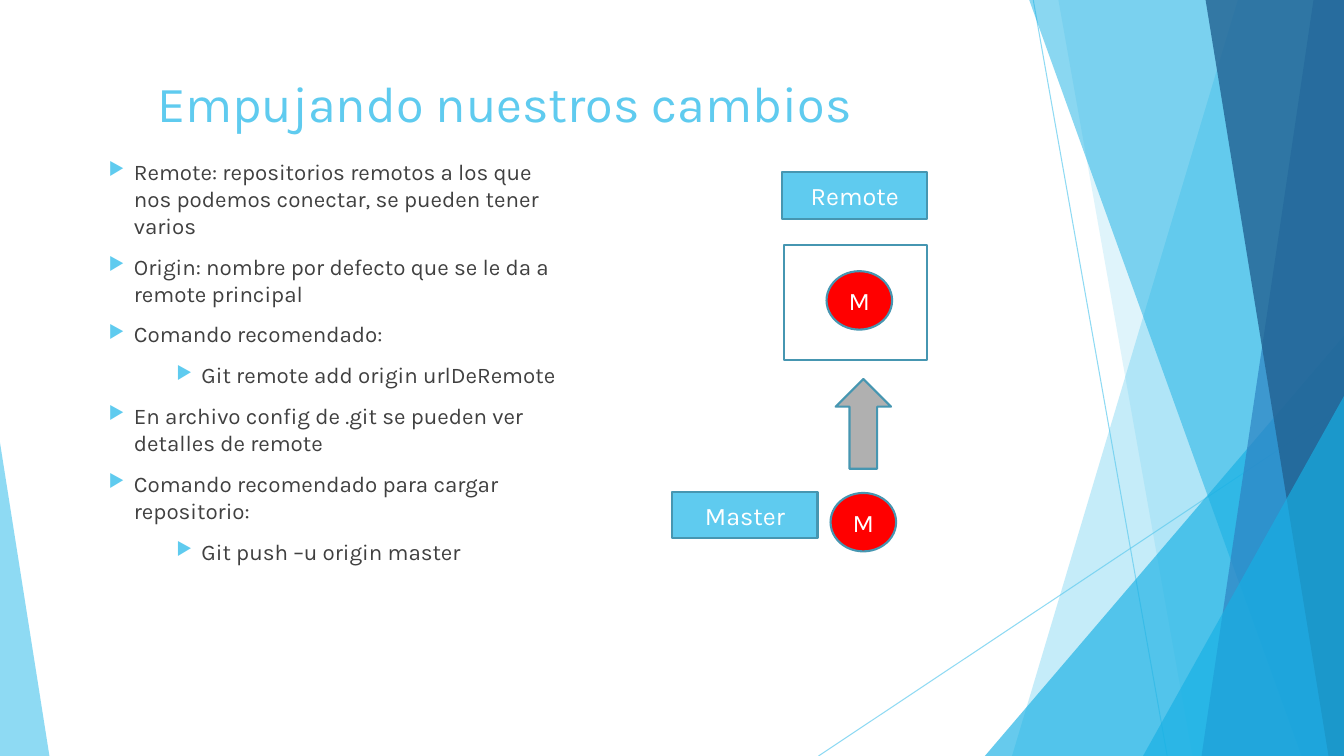
from dataclasses import dataclass

from lxml.etree import SubElement
from pptx import Presentation
from pptx.dml.color import RGBColor
from pptx.enum.shapes import MSO_CONNECTOR, MSO_SHAPE
from pptx.enum.text import MSO_ANCHOR, PP_ALIGN
from pptx.oxml.ns import qn
from pptx.util import Inches, Pt


@dataclass(frozen=True)
class Theme:
    font: str = "Karla"
    sky: str = "5FCBEF"
    cyan: str = "17B0E4"
    blue: str = "2E83C3"
    navy: str = "226292"
    outline: str = "4696B1"
    red: str = "FF0000"
    gray: str = "B0B0B0"
    white: str = "FFFFFF"
    body: str = "404040"
    title_size: int = 36
    label_size: int = 18
    body_size: int = 16
    outline_width: float = 1.5
    hairline_width: float = 0.75


class SlideBuilder:
    def __init__(self, presentation, theme):
        self.theme = theme
        self.width = presentation.slide_width
        self.height = presentation.slide_height
        self.slide = presentation.slides.add_slide(presentation.slide_layouts[6])

    def across(self, percent):
        return round(self.width * percent / 100)

    def down(self, percent):
        return round(self.height * percent / 100)

    def frame(self, left, top, width, height):
        return self.across(left), self.down(top), self.across(width), self.down(height)

    def paint(self, fill, color, opacity=100):
        fill.solid()
        fill.fore_color.rgb = RGBColor.from_string(color)
        if opacity < 100:
            color_element = fill._xPr.find(".//" + qn("a:srgbClr"))
            SubElement(color_element, qn("a:alpha"), val=str(opacity * 1000))

    def format_runs(self, paragraph, size, color):
        for run in paragraph.runs:
            run.font.name = self.theme.font
            run.font.size = Pt(size)
            run.font.color.rgb = RGBColor.from_string(color)

    def hairline(self, start, end):
        line = self.slide.shapes.add_connector(
            MSO_CONNECTOR.STRAIGHT,
            self.across(start[0]), self.down(start[1]),
            self.across(end[0]), self.down(end[1]))
        line.line.width = Pt(self.theme.hairline_width)
        self.paint(line.line.fill, self.theme.sky, 70)
        SubElement(line._element.spPr, qn("a:effectLst"))

    def facet(self, top_left, bottom_left, color, opacity):
        corners = [(100, 0), (100, 100), (bottom_left, 100)]
        builder = self.slide.shapes.build_freeform(self.across(top_left), 0)
        builder.add_line_segments([(self.across(x), self.down(y)) for x, y in corners])
        shape = builder.convert_to_shape()
        shape.shadow.inherit = False
        shape.line.fill.background()
        self.paint(shape.fill, color, opacity)

    def triangle(self, left, top, width, apex, color, opacity):
        shape = self.slide.shapes.add_shape(
            MSO_SHAPE.ISOSCELES_TRIANGLE, *self.frame(left, top, width, 100 - top))
        shape.adjustments[0] = apex
        shape.shadow.inherit = False
        shape.line.fill.background()
        self.paint(shape.fill, color, opacity)

    def outlined(self, kind, left, top, width, height, fill=None, text=None):
        shape = self.slide.shapes.add_shape(kind, *self.frame(left, top, width, height))
        shape.shadow.inherit = False
        shape.line.width = Pt(self.theme.outline_width)
        self.paint(shape.line.fill, self.theme.outline)
        if fill:
            self.paint(shape.fill, fill)
        else:
            shape.fill.background()
        if text:
            shape.text_frame.text = text
            shape.text_frame.vertical_anchor = MSO_ANCHOR.MIDDLE
            paragraph = shape.text_frame.paragraphs[0]
            paragraph.alignment = PP_ALIGN.CENTER
            paragraph.space_after = Pt(6)
            self.format_runs(paragraph, self.theme.label_size, self.theme.white)
        return shape

    def label(self, left, top, text):
        self.outlined(MSO_SHAPE.RECTANGLE, left, top, 10.8, 6.13, self.theme.sky, text)

    def commit(self, left, top):
        self.outlined(MSO_SHAPE.OVAL, left, top, 4.88, 7.73, self.theme.red, "M")

    def push_arrow(self, left, top, width, height):
        arrow = self.outlined(
            MSO_SHAPE.RIGHT_ARROW, left, top, width, height, self.theme.gray)
        arrow.rotation = 270

    def text_box(self, left, top, width, height):
        box = self.slide.shapes.add_textbox(*self.frame(left, top, width, height))
        box.text_frame.word_wrap = True
        return box.text_frame

    def title(self, left, top, width, height, text):
        text_frame = self.text_box(left, top, width, height)
        text_frame.text = text
        self.format_runs(text_frame.paragraphs[0], self.theme.title_size, self.theme.sky)

    def bullets(self, left, top, width, height, items):
        text_frame = self.text_box(left, top, width, height)
        text_frame.text = "\n".join(text for level, text in items)
        for paragraph, (level, text) in zip(text_frame.paragraphs, items):
            paragraph.level = level
            paragraph.space_before = Pt(10)
            self.format_runs(paragraph, self.theme.body_size, self.theme.body)
            properties = paragraph._p.get_or_add_pPr()
            properties.set("marL", str(Inches((0.25, 0.92)[level])))
            properties.set("indent", str(Inches(-0.25)))
            bullet_color = SubElement(properties, qn("a:buClr"))
            SubElement(bullet_color, qn("a:srgbClr"), val=self.theme.sky)
            SubElement(properties, qn("a:buSzPct"), val="80000")
            SubElement(properties, qn("a:buChar"), char="▶")


def main():
    presentation = Presentation()
    presentation.slide_width = Inches(13.33)
    presentation.slide_height = Inches(7.5)
    theme = Theme()
    builder = SlideBuilder(presentation, theme)

    builder.hairline((76.88, 0), (86.85, 100))
    builder.hairline((100, 53.73), (60.9, 100))
    builder.facet(92.1, 75.3, theme.sky, 36)
    builder.facet(78.75, 88.73, theme.sky, 20)
    builder.triangle(73.28, 44.4, 26.72, 1, theme.cyan, 66)
    builder.facet(76.58, 96.83, theme.cyan, 50)
    builder.facet(97.73, 89.4, theme.blue, 70)
    builder.facet(89.7, 98.85, theme.navy, 80)
    builder.triangle(85.05, 52.4, 14.95, 1, theme.cyan, 66)
    builder.triangle(0, 58.53, 3.68, 0, theme.sky, 70)

    builder.title(10.95, 8.93, 70.5, 19.2, "Empujando nuestros cambios")
    builder.bullets(7.35, 20.27, 35.7, 56.53, [
        (0, "Remote: repositorios remotos a los que nos podemos conectar, se pueden tener varios"),
        (0, "Origin: nombre por defecto que se le da a remote principal"),
        (0, "Comando recomendado:"),
        (1, "Git remote add origin urlDeRemote"),
        (0, "En archivo config de .git se pueden ver detalles de remote"),
        (0, "Comando recomendado para cargar repositorio:"),
        (1, "Git push –u origin master"),
    ])

    builder.commit(61.8, 65.2)
    builder.label(50.03, 65.07, "Master")
    builder.push_arrow(60.9, 52.4, 6.68, 7.33)
    builder.outlined(MSO_SHAPE.RECTANGLE, 58.35, 32.4, 10.65, 15.2)
    builder.commit(61.5, 35.87)
    builder.label(58.2, 22.8, "Remote")

    presentation.save("out.pptx")


if __name__ == "__main__":
    main()
